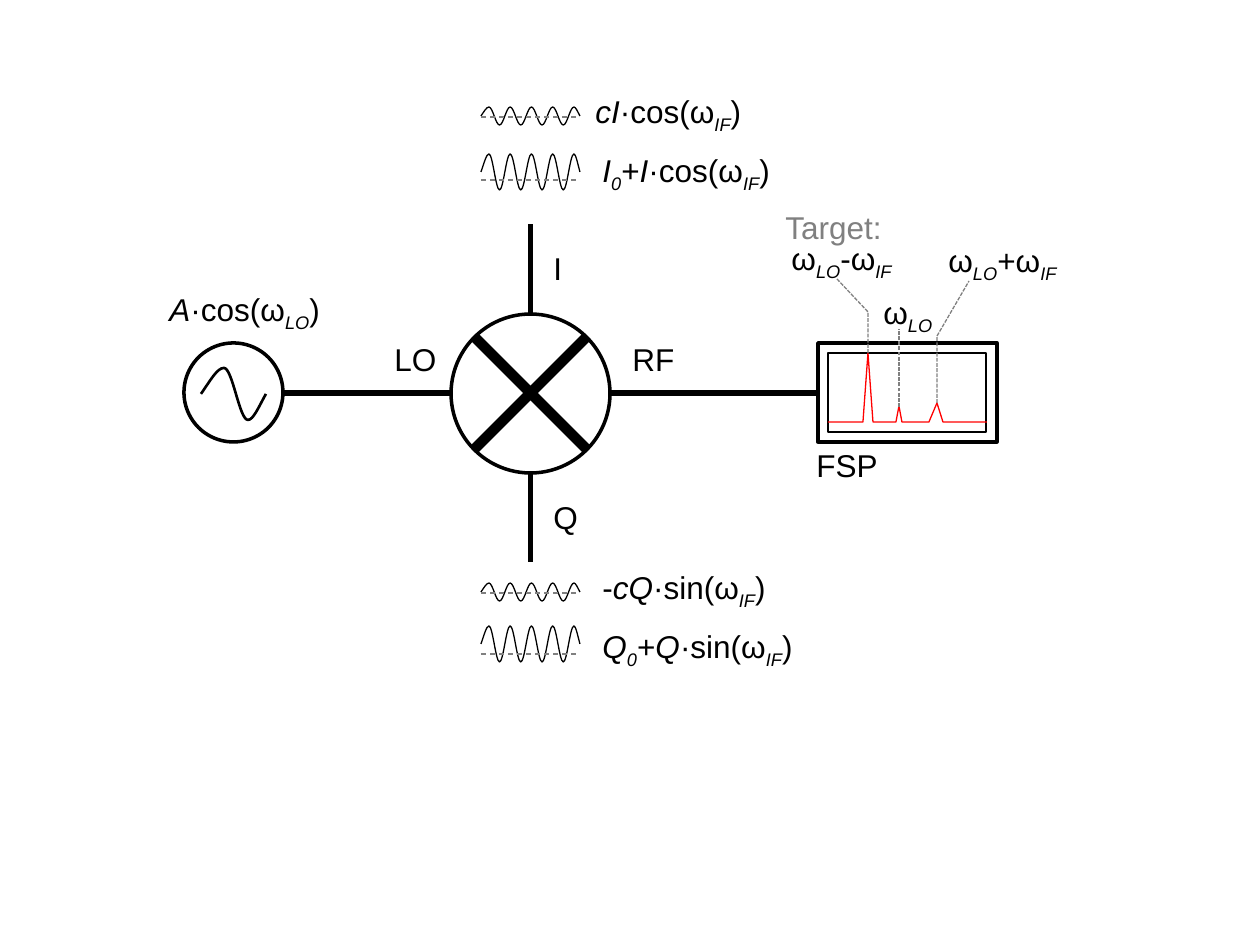
from pptx import Presentation
from pptx.dml.color import RGBColor
from pptx.enum.dml import MSO_LINE
from pptx.enum.shapes import MSO_CONNECTOR, MSO_SHAPE
from pptx.enum.text import MSO_AUTO_SIZE
from pptx.oxml.ns import qn
from pptx.util import Inches, Pt
from lxml import etree

SCALE = 914400 / 126
COLORS = {"ink": "000000", "paper": "FFFFFF", "guide": "808080", "trace": "FF0000"}
FONT = "Arial"
LINE_HEIGHT = 50


def px(value):
    """Turn pixels into EMU."""
    return round(value * SCALE)


def color(name):
    """Look up a colour by name."""
    return RGBColor.from_string(COLORS[name])


def set_line(line, width, name="ink", dash=None):
    """Set colour, width in points and dash of an outline."""
    line.color.rgb = color(name)
    line.width = Pt(width)
    if dash is not None:
        line.dash_style = dash


def wire(slide, x1, y1, x2, y2, width=3, name="ink", dash=None):
    """Draw a straight line without a shadow."""
    line = slide.shapes.add_connector(MSO_CONNECTOR.STRAIGHT, px(x1), px(y1), px(x2), px(y2))
    set_line(line.line, width, name, dash)
    etree.SubElement(line._element.spPr, qn("a:effectLst"))


def outline(slide, kind, x, y, width, height, weight=2):
    """Draw a white preset shape with a black outline."""
    shape = slide.shapes.add_shape(kind, px(x), px(y), px(width), px(height))
    shape.shadow.inherit = False
    shape.fill.solid()
    shape.fill.fore_color.rgb = color("paper")
    set_line(shape.line, weight)


def path(slide, points, width=0.75, name="ink", dash=None):
    """Draw an open outline through the points and return its shape."""
    points = [(px(x), px(y)) for x, y in points]
    builder = slide.shapes.build_freeform(*points[0])
    builder.add_line_segments(points[1:], close=False)
    shape = builder.convert_to_shape()
    shape.shadow.inherit = False
    shape.fill.background()
    set_line(shape.line, width, name, dash)
    return shape


def curve(slide, points, width):
    """Draw cubic curves; each three points after the first make one curve."""
    shape = path(slide, points, width)
    steps = list(shape._element.iter(qn("a:lnTo")))
    for start in range(0, len(steps), 3):
        cubic = etree.Element(qn("a:cubicBezTo"))
        steps[start].addprevious(cubic)
        for step in steps[start:start + 3]:
            cubic.append(step[0])
            step.getparent().remove(step)


def wave(slide, x, mid, amplitude, lead, swing, halves, tail, width=0.75):
    """Draw a wave that rises over lead, makes halves over swing, ends over tail."""
    half = swing / halves
    top = mid - amplitude
    points = [(x, mid), (x + lead * 0.4, mid - amplitude * 0.5),
              (x + lead * 0.7, top), (x + lead, top)]
    sign = -1
    for index in range(halves):
        left = x + lead + index * half
        before, after = mid + sign * amplitude, mid - sign * amplitude
        points += [(left + half * 0.36, before), (left + half * 0.64, after),
                   (left + half, after)]
        sign = -sign
    end = x + lead + swing + tail
    points += [(end - tail * 0.7, mid + sign * amplitude),
               (end - tail * 0.4, mid + sign * amplitude * 0.5), (end, mid)]
    curve(slide, points, width)


def label(slide, x, y, width, markup, name="ink"):
    """Write one line; parts split by | are italic after ~, italic subscript after _."""
    box = slide.shapes.add_textbox(px(x), px(y), px(width), px(LINE_HEIGHT))
    frame = box.text_frame
    frame.word_wrap = False
    frame.auto_size = MSO_AUTO_SIZE.SHAPE_TO_FIT_TEXT
    for part in markup.split("|"):
        run = frame.paragraphs[0].add_run()
        run.text = part.lstrip("~_")
        font = run.font
        font.name, font.size, font.color.rgb = FONT, Pt(18), color(name)
        font.italic = part[0] in "~_"
        if part[0] == "_":
            font._element.set("baseline", "-25000")


def mixer(slide, x, y, size):
    """Draw the mixer circle, its cross and its four ports."""
    cx, cy, right, bottom = x + size / 2, y + size // 2, x + size, y + size
    outline(slide, MSO_SHAPE.OVAL, x, y, size, size)
    wire(slide, x, cy, x - 168, cy)
    wire(slide, right, cy, right + 208, cy)
    wire(slide, cx, y, cx, y - 90)
    wire(slide, cx, bottom, cx, bottom + 89)
    for dx, dy, width, text in ((-69, 20, 68, "LO"), (169, 20, 68, "RF"),
                                (90, -71, 34, "I"), (90, 178, 50, "Q")):
        label(slide, x + dx, y + dy, width, text)
    arm = 56
    for side in (-1, 1):
        wire(slide, cx - arm, cy + side * arm, cx + arm, cy - side * arm, 6)


def oscillator(slide, x, y, size):
    """Draw the signal source with its sine symbol and label."""
    outline(slide, MSO_SHAPE.OVAL, x, y, size, size)
    wave(slide, x + 17, y + 51, 26, 23, 24, 1, 18, 1.5)
    label(slide, x - 27, y - 59, 181, "~A|·cos(ω|_LO|)")


def signal(slide, x, mid, amplitude, zero, text_x, text_y, text_width, markup):
    """Draw an input wave, its dashed zero line and its formula."""
    wave(slide, x, mid, amplitude, 8, 85, 8, 6)
    wire(slide, x, zero, x + 99, zero, 0.75, "guide", MSO_LINE.DASH)
    label(slide, text_x, text_y, text_width, markup)


def analyzer(slide, x, y, width, height):
    """Draw the spectrum analyzer, its trace, guides and labels."""
    outline(slide, MSO_SHAPE.RECTANGLE, x, y, width, height)
    outline(slide, MSO_SHAPE.RECTANGLE, x + 10, y + 10, width - 21, height - 20, 1)
    base = 79
    trace = [(10, base), (45, base), (50, 10), (55, base), (78, base), (81, 63),
             (84, base), (111, base), (119, 60), (125, base), (169, base)]
    path(slide, [(x + dx, y + dy) for dx, dy in trace], name="trace")
    guides = ([(50, 10), (50, -31), (18, -65)],
              [(119, 60), (119, -7), (151, -62)])
    for guide in guides:
        path(slide, [(x + dx, y + dy) for dx, dy in guide],
             name="guide", dash=MSO_LINE.SQUARE_DOT)
    wire(slide, x + 81, y + 64, x + 81, y - 14, 0.75, "guide", MSO_LINE.SQUARE_DOT)
    for dx, dy, text_width, markup, name in (
        (-14, 97, 87, "FSP", "ink"),
        (53, -56, 78, "ω|_LO", "ink"),
        (-39, -110, 132, "ω|_LO|-ω|_IF", "ink"),
        (118, -108, 141, "ω|_LO|+ω|_IF", "ink"),
        (-45, -141, 122, "Target:", "guide"),
    ):
        label(slide, x + dx, y + dy, text_width, markup, name)


def main():
    """Build the mixer diagram slide."""
    deck = Presentation()
    deck.slide_width, deck.slide_height = Inches(10), Inches(7.5)
    slide = deck.slides.add_slide(deck.slide_layouts[6])
    mixer(slide, 451, 314, 159)
    for mid, amplitude, zero, text_x, text_y, width, markup in (
        (116, 9, 117, 583, 86, 175, "~cI|·cos(ω|_IF|)"),
        (172, 18, 180, 590, 145, 198, "~I|_0|+|~I|·cos(ω|_IF|)"),
        (592, 9, 593, 590, 562, 193, "-|~cQ|·sin(ω|_IF|)"),
        (644, 18, 654, 590, 621, 222, "~Q|_0|+|~Q|·sin(ω|_IF|)"),
    ):
        signal(slide, 481, mid, amplitude, zero, text_x, text_y, width, markup)
    oscillator(slide, 184, 343, 99)
    analyzer(slide, 818, 343, 179, 99)
    deck.save("out.pptx")


main()
